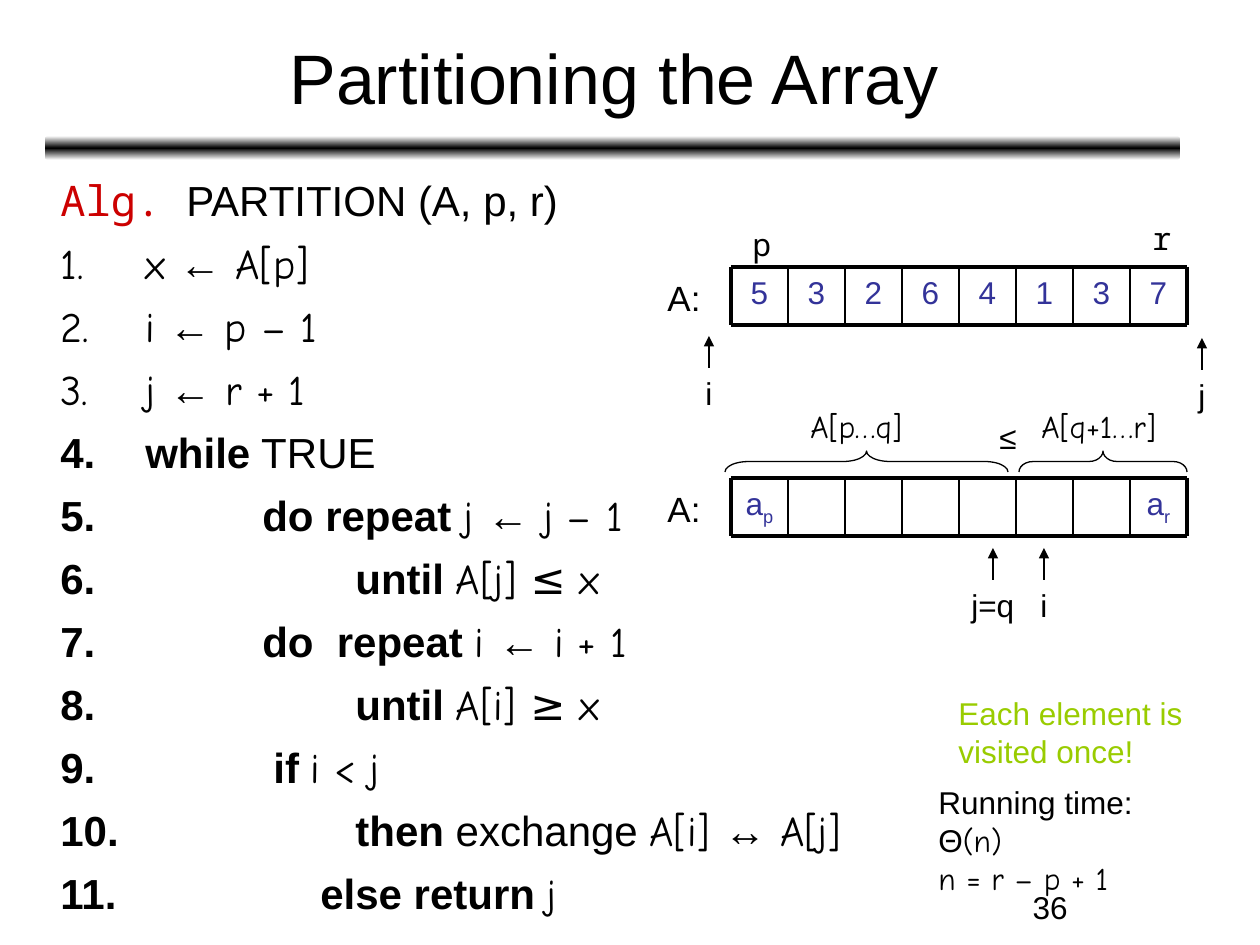
import copy

import pptx
import pptx.dml.color
import pptx.enum.dml
import pptx.enum.shapes
import pptx.enum.text
import pptx.oxml
import pptx.oxml.ns
import pptx.util

SCALE = 914400 / 126
BLACK, BLUE, RED, GREEN = "000000", "333399", "CC0000", "99CC00"
SANS, CODE, MONO = "Arial", "Comic Neue", "Noto Sans Mono"
BOLD = "bold"
LEFT = pptx.enum.text.PP_ALIGN.LEFT
CENTER = pptx.enum.text.PP_ALIGN.CENTER
COLS, CELL, TALL, EDGE = 8, 57, 58, 731

# Text start in px from the number, then the styled parts of the step.
STEPS = [
    (85, [("x ", CODE), ("←", SANS), (" A[p]", CODE)]),
    (85, [("i ", CODE), ("←", SANS), (" p – 1", CODE)]),
    (85, [("j ", CODE), ("←", SANS), (" r + 1", CODE)]),
    (85, [("while", BOLD), (" TRUE", SANS)]),
    (202, [("do repeat ", BOLD), ("j ", CODE), ("←", SANS), (" j – 1", CODE)]),
    (295, [("until ", BOLD), ("A[j] ≤ x", CODE)]),
    (202, [("do  repeat ", BOLD), ("i ", CODE), ("←", SANS), (" i + 1", CODE)]),
    (295, [("until ", BOLD), ("A[i] ≥ x", CODE)]),
    (213, [("if ", BOLD), ("i < j", CODE)]),
    (295, [("then", BOLD), (" exchange ", SANS), ("A[i] ", CODE),
           ("↔", SANS), (" A[j]", CODE)]),
    (260, [("else return ", BOLD), ("j", CODE)]),
]


def px(num):
    return pptx.util.Emu(round(num * SCALE))


def rgb(hue):
    return pptx.dml.color.RGBColor.from_string(hue)


def style(run, size, face=SANS, hue=BLACK):
    run.font.size = pptx.util.Pt(size)
    run.font.name = SANS if face == BOLD else face
    run.font.bold = face == BOLD
    run.font.color.rgb = rgb(hue)


def fill(para, parts, size, hue=BLACK):
    """Add (text, face) parts to a paragraph as styled runs."""
    for text, face in parts:
        run = para.add_run()
        run.text = text
        style(run, size, face, hue)


def label(slide, box, text="", size=18, face=SANS, hue=BLACK, align=LEFT, wrap=False):
    shape = slide.shapes.add_textbox(*map(px, box))
    frame = shape.text_frame
    frame.word_wrap = wrap
    frame.text = text
    for para in frame.paragraphs:
        para.alignment = align
        for run in para.runs:
            style(run, size, face, hue)
    return shape


def line(slide, start, end, width):
    link = slide.shapes.add_connector(
        pptx.enum.shapes.MSO_CONNECTOR.STRAIGHT, *map(px, start + end))
    link.line.color.rgb = rgb(BLACK)
    link.line.width = pptx.util.Pt(width)
    pptx.oxml.ns.qn("a:effectLst")
    link._element.spPr.append(pptx.oxml.parse_xml(
        "<a:effectLst %s/>" % pptx.oxml.ns.nsdecls("a")))
    return link


def pointer(slide, text, mid, top, wide=32):
    """Index name with an arrow that rises from its top."""
    name = label(slide, (mid - wide / 2, top, wide, 50), text)
    link = line(slide, (mid, top), (mid, top - 32), 0.75)
    link.begin_connect(name, 0)
    link.line._get_or_add_ln().append(pptx.oxml.parse_xml(
        '<a:tailEnd type="triangle" %s/>' % pptx.oxml.ns.nsdecls("a")))


def array(slide, top, cells):
    """Row of cells; cells maps a column to its (text, subscript)."""
    label(slide, (655, top + 3, 58, 55), "A:", 20)
    for col, (text, sub) in cells.items():
        box = label(slide, (EDGE + col * CELL, top, CELL, TALL), text,
                    hue=BLUE, align=CENTER, wrap=True)
        if sub:
            para = box.text_frame.paragraphs[0]
            fill(para, [(sub, SANS)], 18, BLUE)
            para.runs[-1].font._element.set("baseline", "-25000")
    for y in (top, top + TALL):
        line(slide, (EDGE, y), (EDGE + COLS * CELL, y), 2.25)
    for col in range(COLS + 1):
        x = EDGE + col * CELL
        line(slide, (x, top), (x, top + TALL), 2.25 if col in (0, COLS) else 1)


def brace(slide, left, right, top, high=21):
    """Brace that opens down, over the span from left to right."""
    span = right - left
    shape = slide.shapes.add_shape(
        pptx.enum.shapes.MSO_SHAPE.LEFT_BRACE,
        px((left + right - high) / 2), px(top + (high - span) / 2), px(high), px(span))
    shape.rotation = 90
    shape.adjustments[0] = span / 12 / high
    shape.shadow.inherit = False
    shape.fill.background()
    shape.line.color.rgb = rgb(BLACK)
    shape.line.width = pptx.util.Pt(0.75)


def rule(slide):
    bar = slide.shapes.add_shape(
        pptx.enum.shapes.MSO_SHAPE.ROUNDED_RECTANGLE, *map(px, (45, 136, 1135, 24)))
    bar.shadow.inherit = False
    bar.line.fill.background()
    bar.fill.gradient()
    bar.fill.gradient_angle = 90
    stops = bar._element.spPr.find(".//" + pptx.oxml.ns.qn("a:gsLst"))
    stops.append(copy.deepcopy(stops[0]))
    for stop, spot, hue in zip(bar.fill.gradient_stops, (0, 0.5, 1),
                               ("FFFFFF", BLACK, "FFFFFF")):
        stop.position = spot
        stop.color.rgb = rgb(hue)


def steps(slide):
    frame = label(slide, (48, 168, 1134, 736), wrap=True).text_frame
    fill(frame.paragraphs[0], [("Alg. ", MONO)], 24, RED)
    fill(frame.paragraphs[0], [("PARTITION (A, p, r)", SANS)], 24)
    for indent, parts in STEPS:
        para = frame.add_paragraph()
        para.space_before = pptx.util.Pt(7.2)
        fill(para, parts, 24)
        props = para._p.get_or_add_pPr()
        props.set("marL", str(px(indent)))
        props.set("indent", str(-px(indent)))
        for tag in ('buFont typeface="Arial"', 'buAutoNum type="arabicPeriod"'):
            props.append(pptx.oxml.parse_xml(
                "<a:%s %s/>" % (tag, pptx.oxml.ns.nsdecls("a"))))
        # Numbers stay regular where the step opens in bold.


def heading(slide, text):
    title = slide.shapes.title
    title.left, title.top, title.width, title.height = map(px, (47, 14, 1134, 125))
    frame = title.text_frame
    frame.text = text
    frame.vertical_anchor = pptx.enum.text.MSO_ANCHOR.MIDDLE
    frame.paragraphs[0].alignment = CENTER
    style(frame.paragraphs[0].runs[0], 40)


def notes(slide):
    label(slide, (946, 688, 250, 88), "Each element is\nvisited once!", hue=GREEN)
    cost = label(slide, (926, 777, 280, 88), "Running time: ", wrap=True).text_frame
    fill(cost.paragraphs[0], [("Θ", SANS), ("(n)", CODE)], 18)
    fill(cost.add_paragraph(), [("n = r – p + 1", CODE)], 18)
    label(slide, (903, 882, 294, 44), "36", align=CENTER, wrap=True)


def main():
    deck = pptx.Presentation()
    deck.slide_width, deck.slide_height = px(1260), px(945)
    slide = deck.slides.add_slide(deck.slide_layouts[5])
    rule(slide)
    heading(slide, "Partitioning the Array")
    steps(slide)

    array(slide, 267, {col: (num, "") for col, num in enumerate("53264137")})
    label(slide, (740, 219, 44, 50), "p", face=MONO)
    label(slide, (1140, 213, 38, 50), "r", face=MONO)
    pointer(slide, "i", 709, 368)
    pointer(slide, "j", 1202, 370)

    array(slide, 478, {0: ("a", "p"), COLS - 1: ("a", "r")})
    pointer(slide, "i", 1044, 580)
    pointer(slide, "j=q", 993, 580, 68)
    brace(slide, 725, 1008, 451)
    brace(slide, 1019, 1187, 451)
    label(slide, (798, 401, 117, 50), "A[p…q]", face=CODE)
    label(slide, (1029, 401, 140, 50), "A[q+1…r]", face=CODE)
    label(slide, (987, 412, 43, 50), "≤")
    notes(slide)
    deck.save("out.pptx")


if __name__ == "__main__":
    main()
